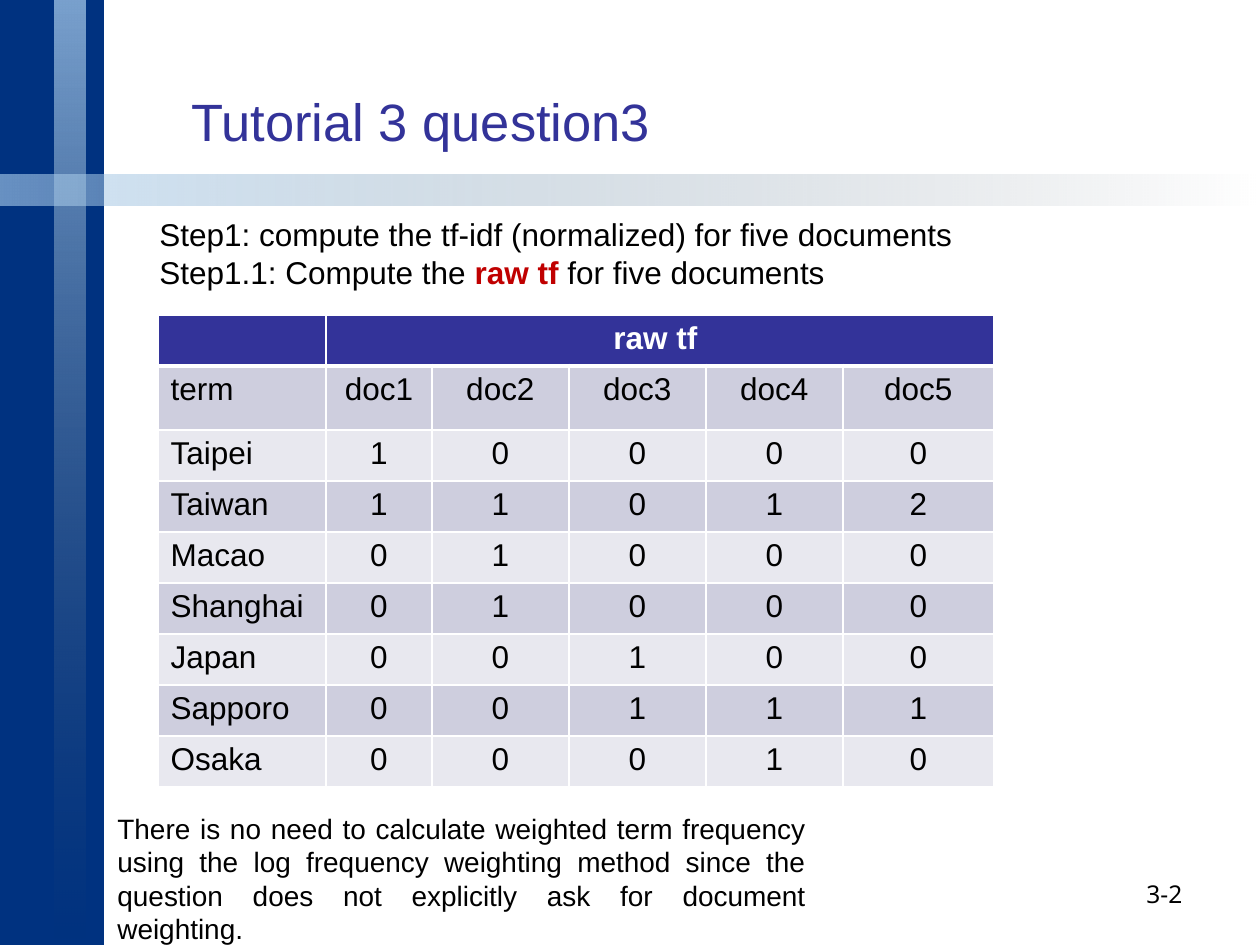
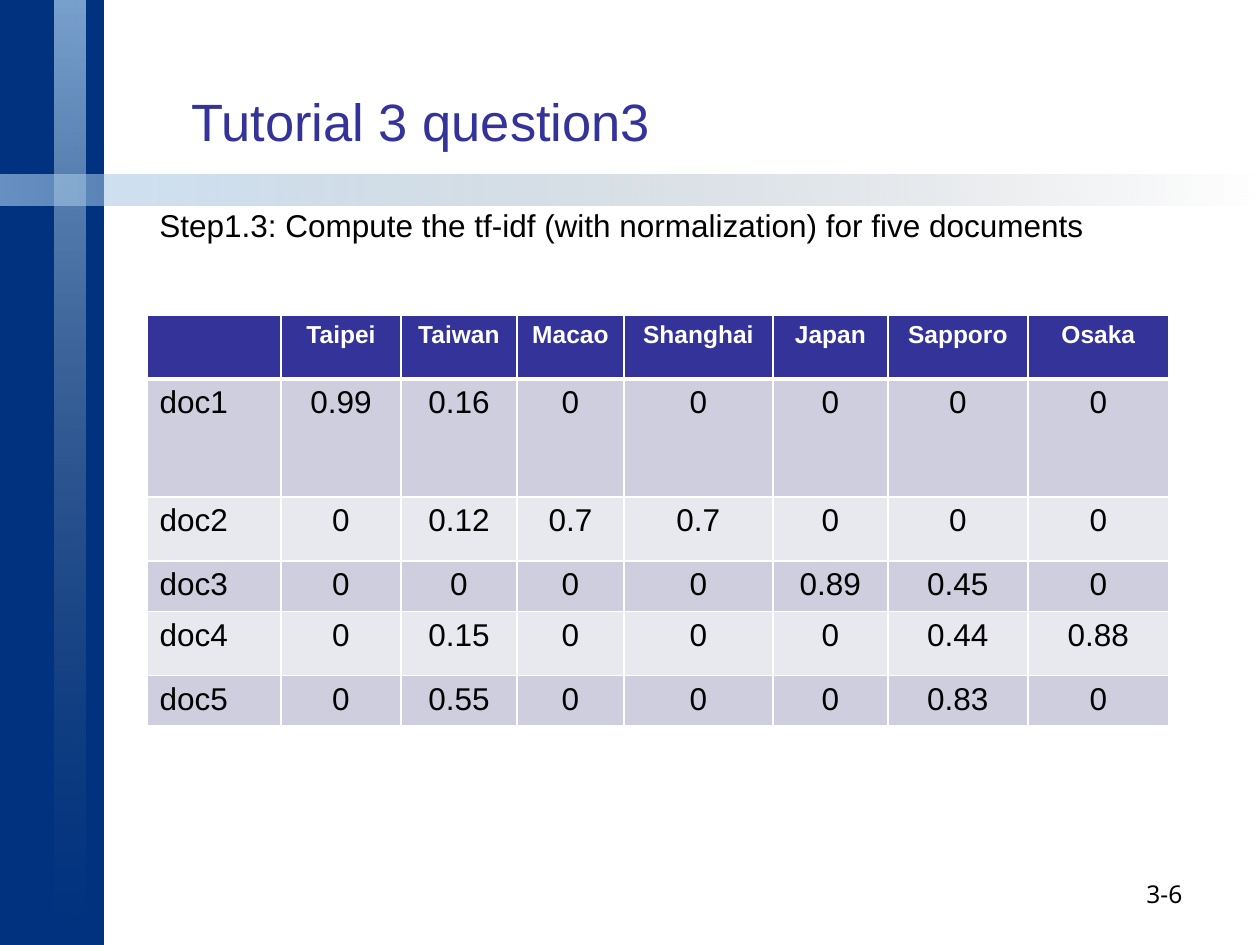
from typing import Any, NamedTuple

from pptx import Presentation
from pptx import util as u
from pptx.dml.color import RGBColor
from pptx.enum import shapes, text
from pptx.oxml import ns, xmlchemy

COLOURS = {
    "navy": "003280", "indigo": "333399", "sky": "AED1EF", "slate": "51616F",
    "band_dark": "CECEDE", "band_light": "E8E8EF",
    "white": "FFFFFF", "black": "000000", "red": "C00000",
}
EMU_PER_PX = 914400 / 126
WIDTH, HEIGHT = 1260, 945
LEFT, CENTRE = text.PP_ALIGN.LEFT, text.PP_ALIGN.CENTER

# Text formats
BODY = {"name": "Arial", "size": u.Pt(18), "bold": False, "colour": "black"}
TITLE = BODY | {"size": u.Pt(30), "colour": "indigo"}
NOTE = BODY | {"size": u.Pt(16)}
NUMBER = BODY | {"name": "Noto Sans", "size": u.Pt(14)}
HEADER = BODY | {"bold": True, "colour": "white"}
SMALL_HEADER = HEADER | {"size": u.Pt(14)}
KEYWORD = BODY | {"bold": True, "colour": "red"}

Span = tuple[str, dict[str, Any]]


class Area(NamedTuple):
    left: int
    top: int
    width: int
    height: int


class Bar(NamedTuple):
    area: Area
    opacity: int = 100  # percent at the start of the fade
    fades: bool = False
    rotation: int = 0


class TextBlock(NamedTuple):
    area: Area
    paras: list[list[Span]]
    para_format: dict[str, Any] = {}
    anchor: Any = text.MSO_ANCHOR.TOP


class Grid(NamedTuple):
    left: int
    top: int
    columns: list[int]
    rows: list[int]
    values: list[list[str]]
    header: dict[str, Any]
    merge_header: bool = False


class Page(NamedTuple):
    number: str
    blocks: list[TextBlock]
    grid: Grid


BARS = [
    Bar(Area(0, 0, 104, HEIGHT)),
    Bar(Area(54, 0, 31, HEIGHT), 70, True),
    Bar(Area(614, -440, 31, WIDTH), 60, True, 270),
]


def px(length: int) -> u.Emu:
    return u.Emu(round(length * EMU_PER_PX))


def emu(area: Area) -> list[u.Emu]:
    return [px(length) for length in area]


def rgb(name: str) -> RGBColor:
    return RGBColor.from_string(COLOURS[name])


def add_span(para: Any, words: str, style: dict[str, Any]) -> None:
    span = para.add_run()
    span.text = words
    for key, value in style.items():
        if key == "colour":
            span.font.color.rgb = rgb(value)
        else:
            setattr(span.font, key, value)


def draw_bar(page: Any, bar: Bar) -> None:
    shape = page.shapes.add_shape(shapes.MSO_SHAPE.RECTANGLE, *emu(bar.area))
    shape.shadow.inherit = False
    shape.line.fill.background()
    shape.rotation = bar.rotation
    if not bar.fades:
        shape.fill.solid()
        shape.fill.fore_color.rgb = rgb("navy")
        return
    shape.fill.gradient()
    shape.fill.gradient_angle = 270
    for stop, name in zip(shape.fill.gradient_stops, ("sky", "slate")):
        stop.color.rgb = rgb(name)
    colours = shape._element.spPr.iter(ns.qn("a:srgbClr"))
    for colour, opacity in zip(colours, (bar.opacity, 0)):
        alpha = xmlchemy.OxmlElement("a:alpha")
        alpha.set("val", str(opacity * 1000))
        colour.append(alpha)


def draw_text(page: Any, block: TextBlock) -> None:
    frame = page.shapes.add_textbox(*emu(block.area)).text_frame
    frame.word_wrap = True
    frame.vertical_anchor = block.anchor
    for index, spans in enumerate(block.paras):
        para = frame.add_paragraph() if index else frame.paragraphs[0]
        for key, value in block.para_format.items():
            setattr(para, key, value)
        for words, style in spans:
            add_span(para, words, style)


def add_borders(cell: Any, top: int, bottom: int) -> None:
    """White cell edges, widths in points; edges go ahead of the fill."""
    properties = cell._tc.get_or_add_tcPr()
    for index, (side, width) in enumerate(zip("LRTB", (1, 1, top, bottom))):
        edge = xmlchemy.OxmlElement(f"a:ln{side}")
        edge.set("w", str(u.Pt(width)))
        fill = xmlchemy.OxmlElement("a:solidFill")
        colour = xmlchemy.OxmlElement("a:srgbClr")
        colour.set("val", COLOURS["white"])
        fill.append(colour)
        edge.append(fill)
        properties.insert(index, edge)


def draw_grid(page: Any, grid: Grid) -> None:
    area = Area(grid.left, grid.top, sum(grid.columns), sum(grid.rows))
    table = page.shapes.add_table(len(grid.rows), len(grid.columns), *emu(area)).table
    table.horz_banding = False
    for column, width in zip(table.columns, grid.columns):
        column.width = px(width)
    for row, height in zip(table.rows, grid.rows):
        row.height = px(height)
    for r, values in enumerate(grid.values):
        fill = "indigo" if r == 0 else "band_dark" if r % 2 else "band_light"
        for c, value in enumerate(values):
            cell = table.cell(r, c)
            cell.fill.solid()
            cell.fill.fore_color.rgb = rgb(fill)
            add_borders(cell, 3 if r == 1 else 1, 3 if r == 0 else 1)
            if value:
                para = cell.text_frame.paragraphs[0]
                para.alignment = CENTRE if c else LEFT
                add_span(para, value, BODY if r else grid.header)
    if grid.merge_header:
        table.cell(0, 1).merge(table.cell(0, len(grid.columns) - 1))


def draw_page(deck: Any, content: Page) -> None:
    page = deck.slides.add_slide(deck.slide_layouts[6])
    for bar in BARS:
        draw_bar(page, bar)
    number = TextBlock(Area(1134, 873, 95, 42), [[(content.number, NUMBER)]],
                       {"space_before": u.Pt(8.4)})
    title = TextBlock(Area(179, 32, 1018, 126), [[("Tutorial 3 question3", TITLE)]],
                      anchor=text.MSO_ANCHOR.BOTTOM)
    for block in (number, title, *content.blocks):
        draw_text(page, block)
    draw_grid(page, content.grid)


# Raw term counts
RAW_TF = Page(
    "3-2",
    [
        TextBlock(Area(147, 209, 953, 89), [
            [("Step1: compute the tf-idf (normalized) for five documents", BODY)],
            [("Step1.1: Compute the ", BODY), ("raw tf ", KEYWORD),
             ("for five documents", BODY)],
        ]),
        TextBlock(Area(105, 805, 713, 115), [[(
            "There is no need to calculate weighted term frequency using the log "
            "frequency weighting method since the question does not explicitly ask "
            "for document weighting.", NOTE)]],
            {"alignment": text.PP_ALIGN.JUSTIFY}),
    ],
    Grid(158, 315, [168, 106, 137, 137, 137, 151], [51, 64] + [51] * 7, [
        ["", "raw tf ", "", "", "", ""],
        ["term", "doc1", "doc2", "doc3", "doc4", "doc5"],
        ["Taipei", "1", "0", "0", "0", "0"],
        ["Taiwan", "1", "1", "0", "1", "2"],
        ["Macao", "0", "1", "0", "0", "0"],
        ["Shanghai", "0", "1", "0", "0", "0"],
        ["Japan", "0", "0", "1", "0", "0"],
        ["Sapporo", "0", "0", "1", "1", "1"],
        ["Osaka", "0", "0", "0", "1", "0"],
    ], HEADER, merge_header=True),
)

# Normalized weights
TF_IDF = Page(
    "3-6",
    [TextBlock(Area(147, 200, 1094, 50), [[(
        "Step1.3: Compute the tf-idf (with normalization) for five documents",
        BODY)]])],
    Grid(147, 315, [134, 120, 116, 107, 149, 115, 140, 141],
         [64, 118, 64, 50, 64, 50], [
        ["", "Taipei", "Taiwan", "Macao", "Shanghai", "Japan", "Sapporo", "Osaka"],
        ["doc1", "0.99", "0.16", "0", "0", "0", "0", "0"],
        ["doc2", "0", "0.12", "0.7", "0.7", "0", "0", "0"],
        ["doc3", "0", "0", "0", "0", "0.89", "0.45", "0"],
        ["doc4", "0", "0.15", "0", "0", "0", "0.44", "0.88"],
        ["doc5", "0", "0.55", "0", "0", "0", "0.83", "0"],
    ], SMALL_HEADER),
)


def main() -> None:
    deck = Presentation()
    deck.slide_width, deck.slide_height = px(WIDTH), px(HEIGHT)
    for content in (RAW_TF, TF_IDF):
        draw_page(deck, content)
    deck.save("out.pptx")


if __name__ == "__main__":
    main()
